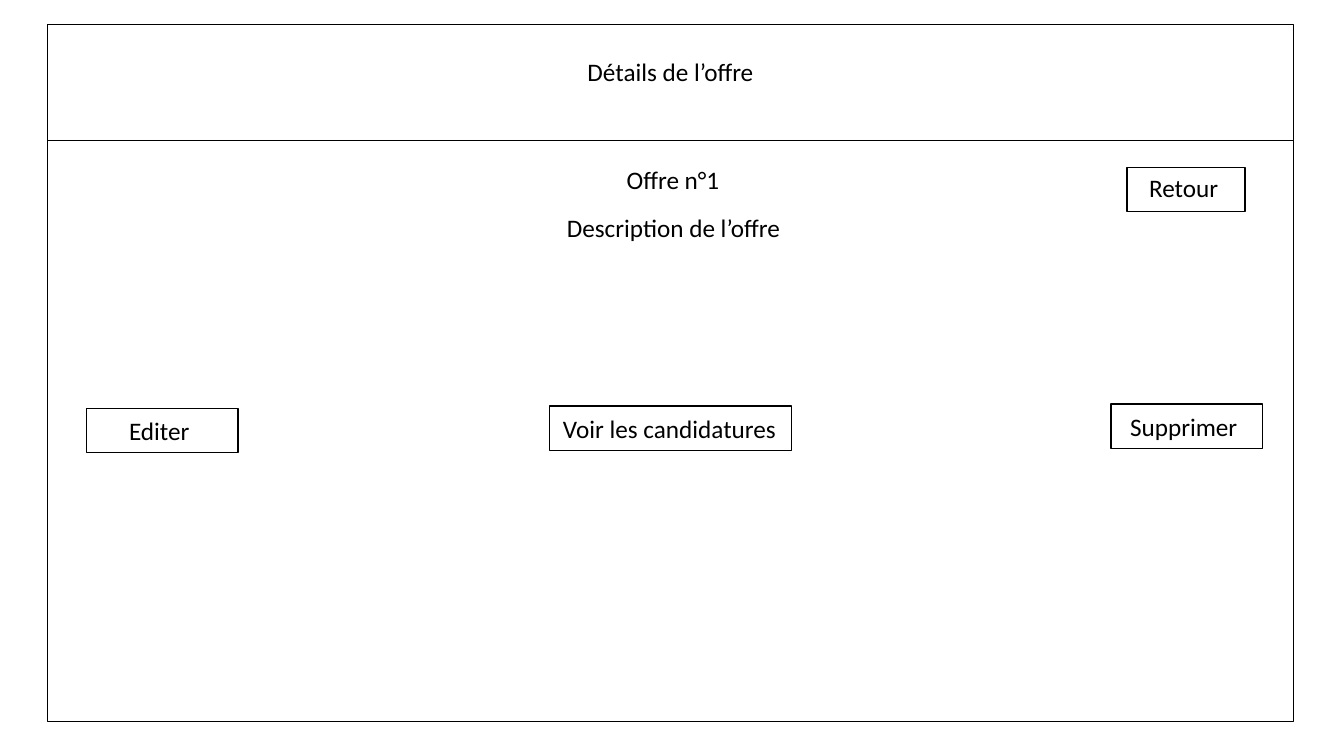
"""Builds the wireframe slide of a job offer's detail page."""
import pptx
import pptx.dml.color
import pptx.enum.shapes
import pptx.enum.text
import pptx.oxml
import pptx.oxml.ns
import pptx.util
from pptx.util import Inches

BLACK = "000000"


def color(target, value):
    target.rgb = pptx.dml.color.RGBColor.from_string(value)


def add_text(text, left, top, width=4.98, size=18, font="Calibri", fill=BLACK):
    tb = slide.shapes.add_textbox(Inches(left), Inches(top), Inches(width), Inches(0.4))
    tf = tb.text_frame
    tf.word_wrap = True
    tf.auto_size = pptx.enum.text.MSO_AUTO_SIZE.SHAPE_TO_FIT_TEXT
    p = tf.paragraphs[0]
    p.alignment = pptx.enum.text.PP_ALIGN.CENTER
    r = p.add_run()
    r.text = text
    r.font.size = pptx.util.Pt(size)
    r.font.name = font
    color(r.font.color, fill)


prs = pptx.Presentation()
prs.slide_width = Inches(13.33)
prs.slide_height = Inches(7.5)
slide = prs.slides.add_slide(prs.slide_layouts[6])

page = (0.47, 0.24, 12.36, 6.92)
back_button = (11.18, 1.66, 1.17, 0.44)
edit_button = (0.86, 4.05, 1.5, 0.44)
applications_button = (5.45, 4.03, 2.4, 0.44)
delete_button = (11.02, 4.01, 1.5, 0.44)

for box in (page, back_button, edit_button, applications_button, delete_button):
    sp = slide.shapes.add_shape(
        pptx.enum.shapes.MSO_SHAPE.RECTANGLE, *[Inches(v) for v in box])
    sp.shadow.inherit = False
    sp.fill.background()
    color(sp.line.color, BLACK)
    sp.line.width = pptx.util.Pt(1)

divider = slide.shapes.add_connector(
    pptx.enum.shapes.MSO_CONNECTOR.STRAIGHT,
    Inches(0.47), Inches(1.39), Inches(12.83), Inches(1.39))
color(divider.line.color, BLACK)
divider.line.width = pptx.util.Pt(0.5)
sp_pr = divider.element.find(pptx.oxml.ns.qn("p:spPr"))
sp_pr.append(pptx.oxml.parse_xml(
    f"<a:effectLst {pptx.oxml.ns.nsdecls('a')}/>"))

add_text("Détails de l’offre", 4.16, 0.51)
add_text("Offre n°1", 5.5, 1.58, width=2.35)
add_text("Description de l’offre", 4.94, 2.06, width=3.48)
add_text("Retour", 9.25, 1.66)
add_text("Editer", -0.91, 4.07)
add_text("Voir les candidatures", 4.15, 4.05)
add_text("Supprimer", 9.25, 4.03)

prs.save("out.pptx")
